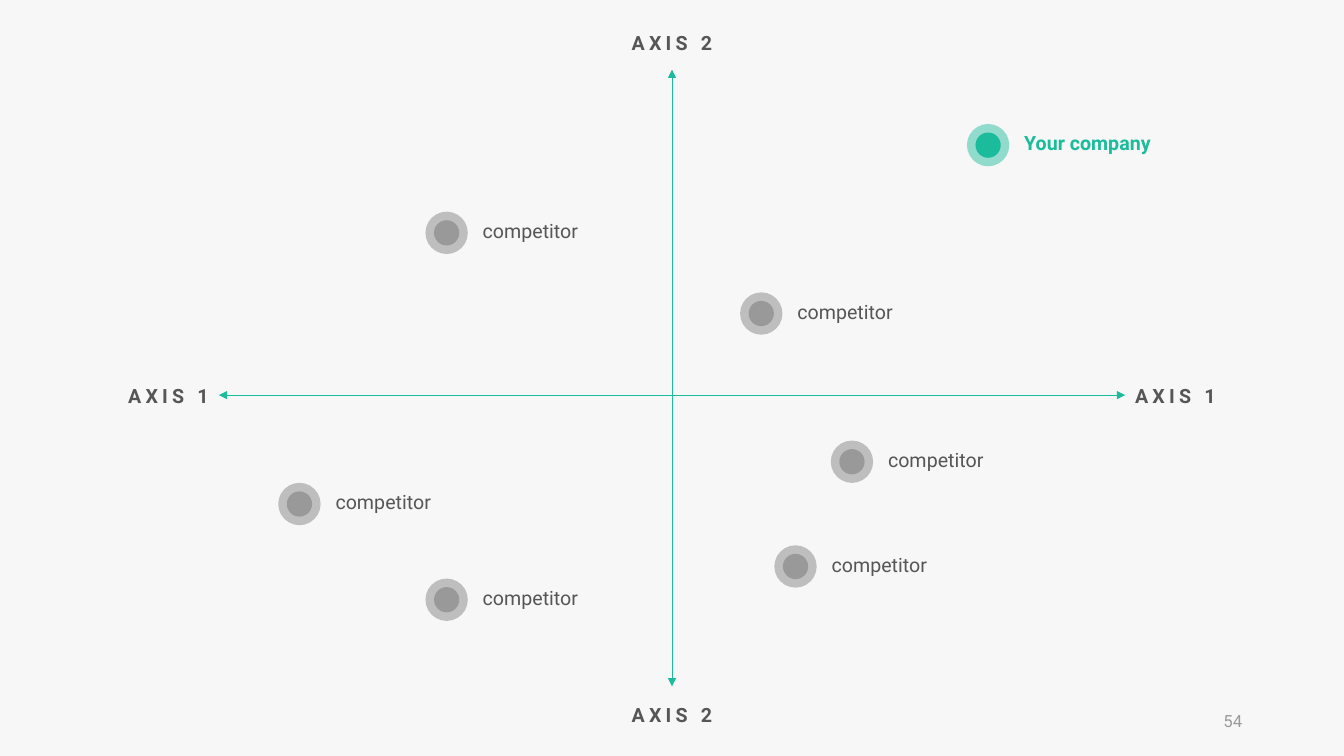
from lxml import etree
from pptx import Presentation
from pptx import util as u
from pptx.dml.color import RGBColor
from pptx.enum import shapes, text
from pptx.oxml.ns import qn

WIDTH, HEIGHT = u.Inches(13.33), u.Inches(7.5)
COLORS = {"back": "F7F7F7", "accent": "1ABC9C", "dark": "565656", "number": "9A9A9A"}
FONT = "Roboto"

# Shares of the slide in percent: x of its width, y of its height
CENTER_X, CENTER_Y = 50, 52.27
AXIS_LEFT, AXIS_RIGHT = 16.28, 83.72
AXIS_TOP, AXIS_BOTTOM = 9.2, 90.8
LABEL_WIDTH, LABEL_HEIGHT = 14.03, 4.53
HALO, CORE = 3.15, 1.88
LABEL_GAP, LABEL_RISE = 1.95, 0.27

COMPANY = (73.52, 19.2)
COMPETITORS = [
    (56.64, 41.47),
    (63.39, 61.07),
    (59.19, 74.93),
    (22.28, 66.67),
    (33.23, 79.33),
    (33.23, 30.8),
]


def across(share):
    return round(WIDTH * share / 100)


def down(share):
    return round(HEIGHT * share / 100)


def add_axis(page, start, end):
    """Draw a thin line with an arrowhead at both ends."""
    axis = page.shapes.add_connector(
        shapes.MSO_CONNECTOR.STRAIGHT,
        across(start[0]), down(start[1]), across(end[0]), down(end[1]))
    axis.line.color.rgb = RGBColor.from_string(COLORS["accent"])
    axis.line.width = u.Pt(0.5)
    outline = axis.line._get_or_add_ln()
    for tip in ("a:headEnd", "a:tailEnd"):
        etree.SubElement(outline, qn(tip), type="triangle")
    etree.SubElement(axis._element.spPr, qn("a:effectLst"))


def add_label(parent, words, left, middle, color="dark", size=14, bold=False,
              align=text.PP_ALIGN.LEFT, spacing=0,
              width=LABEL_WIDTH, height=LABEL_HEIGHT):
    """Place one line of text by its left edge and its vertical middle."""
    box = parent.shapes.add_textbox(
        across(left), down(middle - height / 2), across(width), down(height))
    frame = box.text_frame
    frame.word_wrap = True
    frame.vertical_anchor = text.MSO_ANCHOR.MIDDLE
    para = frame.paragraphs[0]
    para.alignment = align
    para.font.name = FONT
    para.font.size = u.Pt(size)
    para.font.bold = bold
    para.font.color.rgb = RGBColor.from_string(COLORS[color])
    span = para.add_run()
    span.text = words
    if spacing:
        span.font._element.set("spc", str(spacing * 100))


def add_disc(parent, center, diameter, color, opacity):
    size = across(diameter)
    disc = parent.shapes.add_shape(
        shapes.MSO_SHAPE.OVAL, across(center[0]) - size // 2,
        down(center[1]) - size // 2, size, size)
    disc.shadow.inherit = False
    disc.line.fill.background()
    disc.fill.solid()
    disc.fill.fore_color.rgb = RGBColor.from_string(COLORS[color])
    if opacity < 100:
        tint = disc._element.spPr.find(".//" + qn("a:srgbClr"))
        etree.SubElement(tint, qn("a:alpha"), val=str(opacity * 1000))


def add_marker(page, center, words, color, halo_opacity, core_opacity, bold=False):
    """Group a haloed dot with the name to its right."""
    group = page.shapes.add_group_shape()
    add_disc(group, center, HALO, color, halo_opacity)
    add_disc(group, center, CORE, color, core_opacity)
    add_label(group, words, center[0] + LABEL_GAP, center[1] - LABEL_RISE,
              color, bold=bold)


def main():
    deck = Presentation()
    deck.slide_width, deck.slide_height = WIDTH, HEIGHT
    page = deck.slides.add_slide(deck.slide_layouts[6])
    page.background.fill.solid()
    page.background.fill.fore_color.rgb = RGBColor.from_string(COLORS["back"])

    add_axis(page, (CENTER_X, AXIS_TOP), (CENTER_X, AXIS_BOTTOM))
    add_axis(page, (AXIS_LEFT, CENTER_Y), (AXIS_RIGHT, CENTER_Y))

    add_marker(page, COMPANY, "Your company", "accent", 46, 100, bold=True)
    for center in COMPETITORS:
        add_marker(page, center, "competitor", "dark", 35, 35)

    align = text.PP_ALIGN
    middle_left = CENTER_X - LABEL_WIDTH / 2
    for words, left, middle, side in [
        ("AXIS 2", middle_left, 5.6, align.CENTER),
        ("AXIS 2", middle_left, 94.53, align.CENTER),
        ("AXIS 1", AXIS_RIGHT, CENTER_Y, align.LEFT),
        ("AXIS 1", AXIS_LEFT - LABEL_WIDTH, CENTER_Y, align.RIGHT),
    ]:
        add_label(page, words, left, middle, bold=True, align=side, spacing=3)
    add_label(page, "54", 70.67, 95.33, "number", size=12, align=align.RIGHT,
              width=22.5, height=5.33)

    deck.save("out.pptx")


if __name__ == "__main__":
    main()
